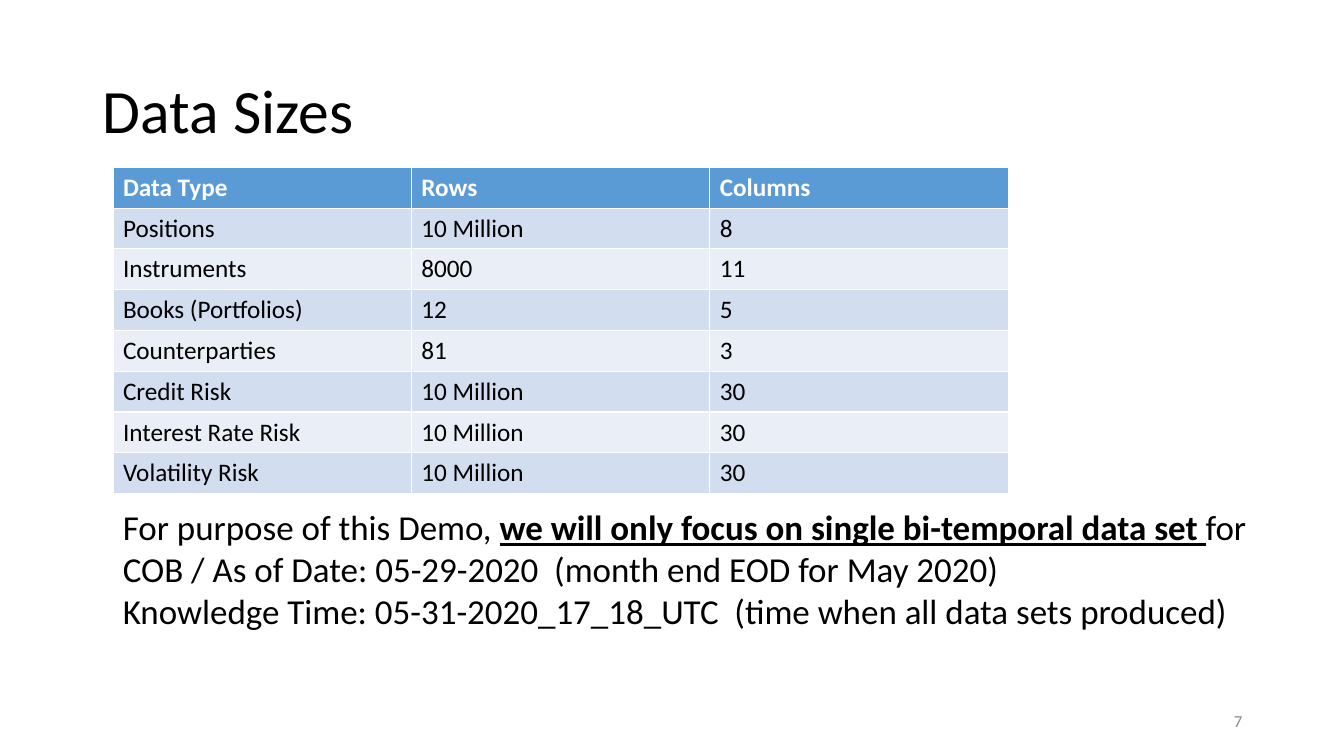
from pptx import Presentation
from pptx.dml.color import RGBColor
from pptx.enum.text import MSO_ANCHOR, MSO_AUTO_SIZE, PP_ALIGN
from pptx.util import Inches, Pt

LEFT, RIGHT = PP_ALIGN.LEFT, PP_ALIGN.RIGHT
TOP, MIDDLE = MSO_ANCHOR.TOP, MSO_ANCHOR.MIDDLE
NO_FIT = MSO_AUTO_SIZE.NONE
TITLE_ONLY = 5

BLACK = RGBColor(0x00, 0x00, 0x00)
WHITE = RGBColor(0xFF, 0xFF, 0xFF)
GREY = RGBColor(0x8C, 0x8C, 0x8C)
HEADER_BLUE = RGBColor(0x5B, 0x9B, 0xD5)
BAND_DARK = RGBColor(0xD2, 0xDE, 0xEF)
BAND_LIGHT = RGBColor(0xEA, 0xEF, 0xF7)

DATA_SIZES = [
    ("Data Type", "Rows", "Columns"),
    ("Positions", "10 Million", "8"),
    ("Instruments", "8000", "11"),
    ("Books (Portfolios)", "12", "5"),
    ("Counterparties", "81", "3"),
    ("Credit Risk", "10 Million", "30"),
    ("Interest Rate Risk", "10 Million", "30"),
    ("Volatility Risk", "10 Million", "30"),
]

# Each paragraph is a list of (text, emphasised) spans.
DEMO_SCOPE = [
    [("For purpose of this Demo, ", False),
     ("we will only focus on single bi-temporal data set ", True),
     ("for ", False)],
    [("COB / As of Date: 05-29-2020  (month end EOD for May 2020)", False)],
    [("Knowledge Time: 05-31-2020_17_18_UTC  "
      "(time when all data sets produced)", False)],
]


class SlideBuilder:
    """Holds the text style and the current slide."""

    font_name = "Calibri"

    def __init__(self, page):
        """Start building on the given page."""
        self.page = page

    def style(self, para, size, color, align=LEFT):
        """Format a whole paragraph."""
        para.font.name = self.font_name
        para.font.size = Pt(size)
        para.font.color.rgb = color
        para.alignment = align

    def title(self, text, left, top, width, height):
        """Fill and move the title placeholder."""
        box = self.page.shapes.title
        box.left, box.top = Inches(left), Inches(top)
        box.width, box.height = Inches(width), Inches(height)
        frame = box.text_frame
        frame.text = text
        frame.auto_size = NO_FIT
        frame.vertical_anchor = MIDDLE
        para = frame.paragraphs[0]
        self.style(para, 44, BLACK)
        para.line_spacing = 0.9

    def text(self, paragraphs, left, top, width, height, size,
             color=BLACK, align=LEFT, anchor=TOP):
        """Add a wrapped text box of paragraphs made of spans."""
        box = self.page.shapes.add_textbox(
            Inches(left), Inches(top), Inches(width), Inches(height))
        frame = box.text_frame
        frame.word_wrap = True
        frame.vertical_anchor = anchor
        for index, spans in enumerate(paragraphs):
            para = frame.add_paragraph() if index else frame.paragraphs[0]
            self.style(para, size, color, align)
            for words, emphasised in spans:
                span = para.add_run()
                span.text = words
                if emphasised:
                    span.font.bold = span.font.underline = True

    def table(self, rows, left, top, column_width, row_height):
        """Add a table with a header row and banded body rows."""
        columns = len(rows[0])
        table = self.page.shapes.add_table(
            len(rows), columns, Inches(left), Inches(top),
            Inches(column_width * columns),
            Inches(row_height * len(rows))).table
        for row_index, row in enumerate(rows):
            is_header = row_index == 0
            band = BAND_DARK if row_index % 2 else BAND_LIGHT
            for column_index, words in enumerate(row):
                cell = table.cell(row_index, column_index)
                cell.text = words
                cell.fill.solid()
                cell.fill.fore_color.rgb = HEADER_BLUE if is_header else band
                para = cell.text_frame.paragraphs[0]
                self.style(para, 18, WHITE if is_header else BLACK)
                para.font.bold = is_header


deck = Presentation()
deck.slide_width, deck.slide_height = Inches(13.33), Inches(7.5)
slide = SlideBuilder(deck.slides.add_slide(deck.slide_layouts[TITLE_ONLY]))
slide.title("Data Sizes", 0.92, 0.4, 11.5, 1.45)
slide.text([[("7", False)]], 9.42, 6.95, 3, 0.4, 12, GREY, RIGHT, MIDDLE)
slide.table(DATA_SIZES, 1.12, 1.66, 2.96, 0.405)
slide.text(DEMO_SCOPE, 1.12, 4.97, 11.41, 1.36, 25)
deck.save("out.pptx")
